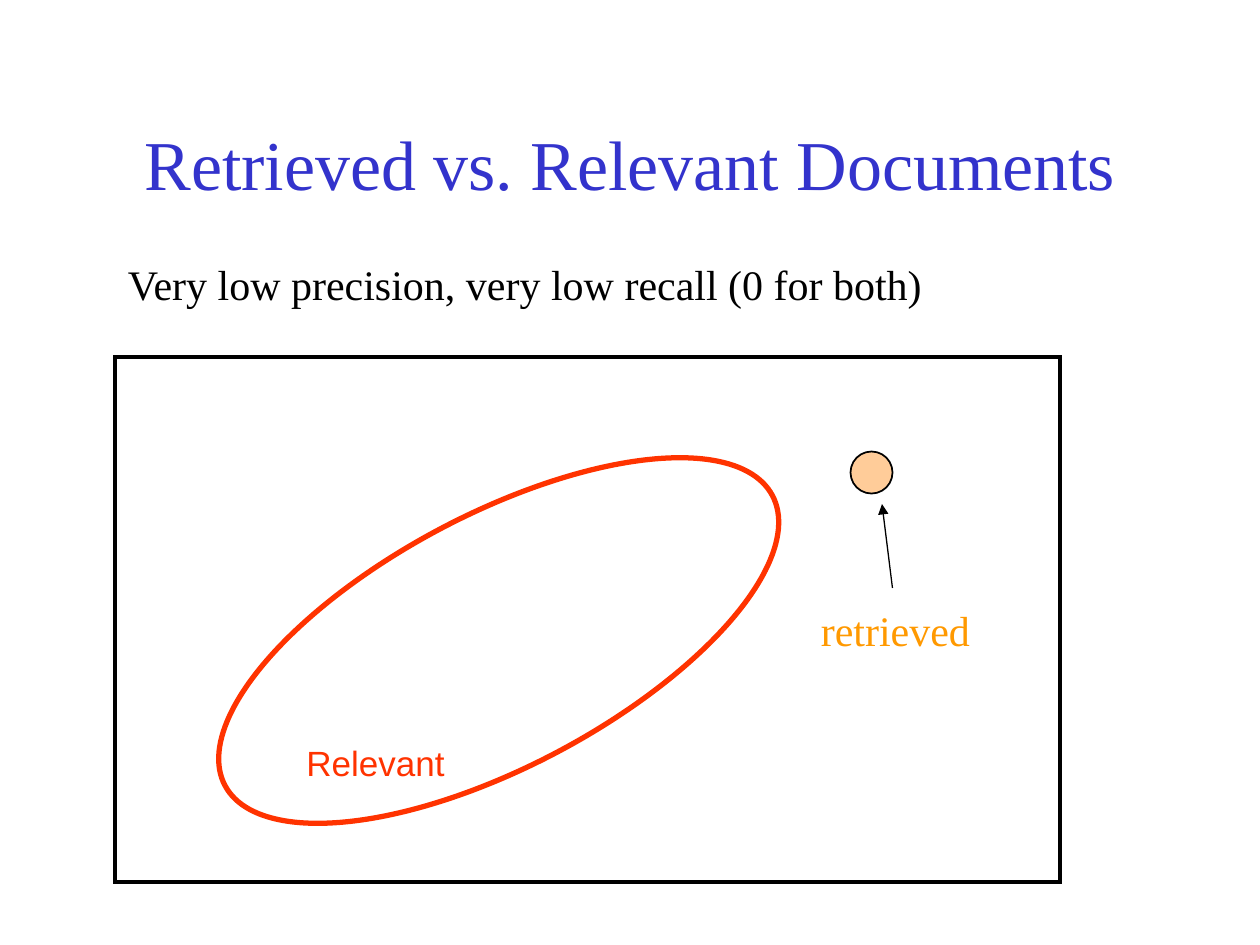
from pptx import Presentation
from pptx.dml.color import RGBColor as RGB
from pptx.enum.shapes import MSO_CONNECTOR as LINK, MSO_SHAPE as KIND
from pptx.enum.text import MSO_ANCHOR as ANCHOR, MSO_AUTO_SIZE as FIT
from pptx.enum.text import PP_ALIGN as ALIGN
from pptx.oxml.ns import qn
from pptx.util import Pt
from lxml.etree import SubElement as Sub

HUES = {
    "title": "3333CC",
    "ink": "000000",
    "red": "FF3300",
    "gold": "FF9900",
    "peach": "FFCC99",
}
SERIF, SANS = "Times New Roman", "Arial"


class Board:
    """Holds the style and the current slide."""

    def __init__(self, deck):
        self.slide = deck.slides.add_slide(deck.slide_layouts[6])
        self.shapes = self.slide.shapes

    def hue(self, name):
        return RGB.from_string(HUES[name])

    def edge(self, line, hue, width):
        line.color.rgb = self.hue(hue)
        line.width = Pt(width)

    def text(self, words, box, size, hue, face=SERIF, wrap=False,
             align=ALIGN.LEFT, anchor=ANCHOR.TOP):
        frame = self.shapes.add_textbox(*map(Pt, box)).text_frame
        look = {
            "word_wrap": wrap,
            "auto_size": FIT.NONE if wrap else FIT.SHAPE_TO_FIT_TEXT,
            "vertical_anchor": anchor,
        }
        for key, value in look.items():
            setattr(frame, key, value)
        para = frame.paragraphs[0]
        para.alignment = align
        run = para.add_run()
        run.text = words
        for key, value in {"size": Pt(size), "name": face}.items():
            setattr(run.font, key, value)
        run.font.color.rgb = self.hue(hue)

    def shape(self, kind, box, hue, width, fill=None, turn=0):
        shape = self.shapes.add_shape(kind, *map(Pt, box))
        shape.shadow.inherit = False
        shape.rotation = turn
        if fill:
            shape.fill.solid()
            shape.fill.fore_color.rgb = self.hue(fill)
        else:
            shape.fill.background()
        self.edge(shape.line, hue, width)
        # Sharp corners
        Sub(shape._element.spPr.find(qn("a:ln")), qn("a:miter"), lim="800000")

    def arrow(self, start, end, hue, width):
        link = self.shapes.add_connector(
            LINK.STRAIGHT, *map(Pt, (*start, *end)))
        self.edge(link.line, hue, width)
        props = link._element.spPr
        Sub(props.find(qn("a:ln")), qn("a:tailEnd"), type="triangle")
        Sub(props, qn("a:effectLst"))


def main():
    deck = Presentation()
    deck.slide_width, deck.slide_height = Pt(720), Pt(540)
    board = Board(deck)

    # Heading
    board.text("Retrieved vs. Relevant Documents", (54, 48, 612, 90), 40,
               "title", wrap=True, align=ALIGN.CENTER, anchor=ANCHOR.MIDDLE)

    # Relevant set
    board.shape(KIND.OVAL, (108, 294, 354, 144), "red", 3, turn=332.1)
    board.text("Relevant", (168, 420, 94, 31.5), 20, "red", SANS)

    # Retrieved set
    board.shape(KIND.OVAL, (486, 258, 24, 24), "ink", 1, "peach")

    # Statement and frame of all documents
    board.text("Very low precision, very low recall (0 for both)",
               (66, 144, 471, 36), 24, "ink")
    board.shape(KIND.RECTANGLE, (66, 204, 540, 300), "ink", 2.25)

    # Label pointing at the retrieved set
    board.text("retrieved", (462, 342, 100, 36), 24, "gold")
    board.arrow((510, 336), (504, 288), "ink", 0.75)

    deck.save("out.pptx")


if __name__ == "__main__":
    main()
